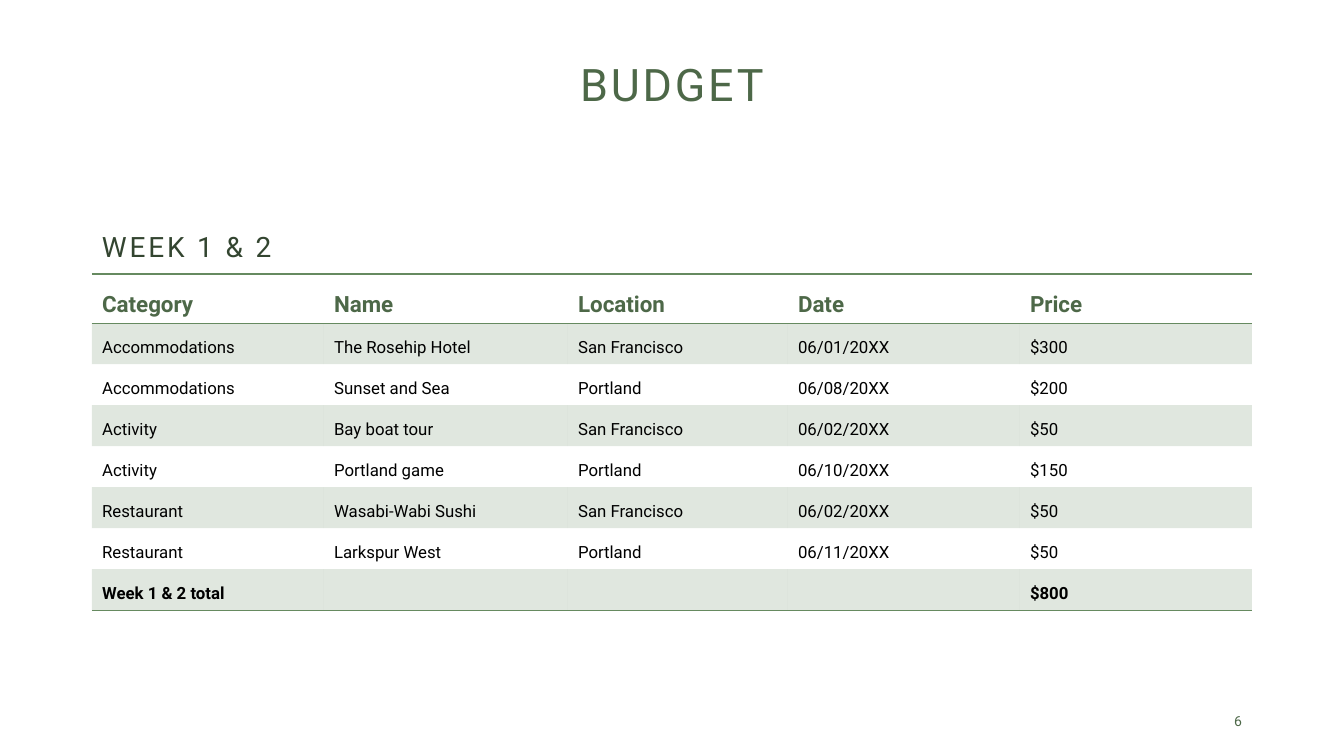
import lxml.etree
import pptx
import pptx.dml.color
import pptx.enum.text
import pptx.oxml.ns
import pptx.util

DARK_GREEN = pptx.dml.color.RGBColor(0x33, 0x45, 0x30)
GREEN = pptx.dml.color.RGBColor(0x4D, 0x68, 0x48)
LIGHT_GREEN = pptx.dml.color.RGBColor(0x66, 0x8A, 0x60)
BLACK = pptx.dml.color.RGBColor(0x00, 0x00, 0x00)

ALIGN = pptx.enum.text.PP_ALIGN
ANCHOR = pptx.enum.text.MSO_ANCHOR
PLAIN_TABLE_STYLE = "{2D5ABB26-0587-4C30-8999-92F81FD0307C}"
TITLE_ONLY = 5

COLUMN_WIDTHS = [232, 244, 220, 232, 232]
BUDGET_ROWS = [
    ["Category", "Name", "Location", "Date", "Price"],
    ["Accommodations", "The Rosehip Hotel", "San Francisco", "06/01/20XX", "$300"],
    ["Accommodations", "Sunset and Sea", "Portland", "06/08/20XX", "$200"],
    ["Activity", "Bay boat tour", "San Francisco", "06/02/20XX", "$50"],
    ["Activity", "Portland game", "Portland", "06/10/20XX", "$150"],
    ["Restaurant", "Wasabi-Wabi Sushi", "San Francisco", "06/02/20XX", "$50"],
    ["Restaurant", "Larkspur West", "Portland", "06/11/20XX", "$50"],
    ["Week 1 & 2 total", "", "", "", "$800"],
]


def px(count):
    return pptx.util.Emu(round(count * 914400 / 100.8))


def add_xml(parent, tag, **attributes):
    return lxml.etree.SubElement(parent, pptx.oxml.ns.qn(tag), attributes)


class BudgetSlide:
    font = "Roboto"

    def __init__(self, deck):
        self.slide = deck.slides.add_slide(deck.slide_layouts[TITLE_ONLY])

    def format_text(self, frame, size, color, bold=False, tracking=0,
                    align=ALIGN.LEFT, line_spacing=1.0):
        para = frame.paragraphs[0]
        para.alignment = align
        para.line_spacing = line_spacing
        for span in para.runs:
            span.font.name = self.font
            span.font.size = pptx.util.Pt(size)
            span.font.bold = bold
            span.font.color.rgb = color
            if tracking:
                span.font._element.set("spc", str(tracking * 100))

    def place(self, box, left, top, width, height, text, anchor, **style):
        box.left, box.top = px(left), px(top)
        box.width, box.height = px(width), px(height)
        frame = box.text_frame
        frame.text = text
        frame.word_wrap = True
        frame.auto_size = pptx.enum.text.MSO_AUTO_SIZE.NONE
        frame.vertical_anchor = anchor
        self.format_text(frame, **style)

    def title(self, *area, **style):
        self.place(self.slide.shapes.title, *area, **style)

    def text(self, *area, **style):
        box = self.slide.shapes.add_textbox(0, 0, 0, 0)
        self.place(box, *area, **style)

    def border(self, cell, side):
        line = add_xml(cell._tc.get_or_add_tcPr(), side, w="12700")
        fill = add_xml(line, "a:solidFill")
        add_xml(fill, "a:srgbClr", val=str(LIGHT_GREEN))

    def shade(self, cell, percent):
        cell.fill.solid()
        cell.fill.fore_color.rgb = LIGHT_GREEN
        color = cell._tc.tcPr.find(".//a:solidFill/a:srgbClr", pptx.oxml.ns.nsmap_for_fill) \
            if hasattr(pptx.oxml.ns, "nsmap_for_fill") else \
            cell._tc.tcPr.findall(pptx.oxml.ns.qn("a:solidFill"))[0][0]
        add_xml(color, "a:alpha", val=str(percent * 1000))

    def table(self, left, top, row_height, widths, rows):
        frame = self.slide.shapes.add_table(
            len(rows), len(widths), px(left), px(top),
            px(sum(widths)), px(row_height * len(rows)))
        table = frame.table
        table.first_row = table.horz_banding = False
        style_id = table._tbl.tblPr.find(pptx.oxml.ns.qn("a:tableStyleId"))
        style_id.text = PLAIN_TABLE_STYLE
        for column, width in zip(table.columns, widths):
            column.width = px(width)
        for row_index, values in enumerate(rows):
            table.rows[row_index].height = px(row_height)
            for column_index, value in enumerate(values):
                cell = table.cell(row_index, column_index)
                self.table_cell(cell, value, row_index, len(rows) - 1)

    def table_cell(self, cell, value, row_index, last_row):
        is_header = row_index == 0
        if value:
            cell.text_frame.text = value
            self.format_text(
                cell.text_frame, 16 if is_header else 12,
                GREEN if is_header else BLACK,
                bold=row_index in (0, last_row), line_spacing=1.5)
        if is_header:
            self.border(cell, "a:lnT")
        if row_index in (0, last_row):
            self.border(cell, "a:lnB")
        if row_index % 2:
            self.shade(cell, 20)
        else:
            cell.fill.background()


def main():
    deck = pptx.Presentation()
    deck.slide_width, deck.slide_height = px(1344), px(756)
    page = BudgetSlide(deck)
    page.title(92, 55, 1160, 63, "BUDGET", ANCHOR.MIDDLE, size=32, color=GREEN,
               tracking=2, align=ALIGN.CENTER, line_spacing=0.9)
    page.text(92, 228, 558, 46, "WEEK 1 & 2", ANCHOR.TOP, size=20,
              color=DARK_GREEN, tracking=2, line_spacing=0.9)
    page.table(92, 274, 41, COLUMN_WIDTHS, BUDGET_ROWS)
    page.text(950, 701, 302, 40, "6", ANCHOR.MIDDLE, size=10, color=GREEN,
              tracking=3, align=ALIGN.RIGHT)
    deck.save("out.pptx")


if __name__ == "__main__":
    main()
